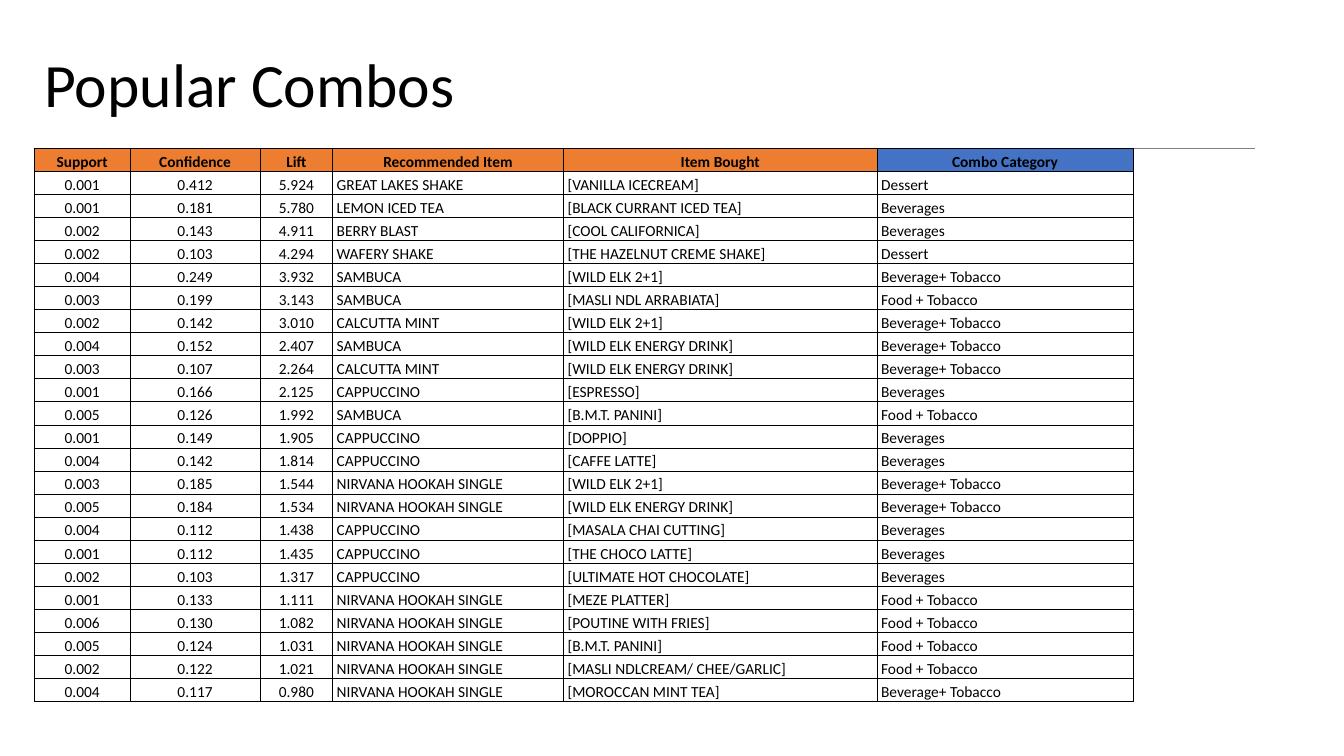
from pptx import Presentation
from pptx.dml.color import RGBColor
from pptx.enum.shapes import MSO_CONNECTOR
from pptx.enum.text import MSO_ANCHOR, PP_ALIGN
from pptx.oxml import parse_xml
from pptx.oxml.ns import nsdecls
from pptx.util import Inches, Pt
from lxml.etree import SubElement

BLACK = RGBColor(0x00, 0x00, 0x00)
GRAY = RGBColor(0x80, 0x80, 0x80)
ORANGE = RGBColor(0xED, 0x7D, 0x31)
BLUE = RGBColor(0x44, 0x72, 0xC4)

LEFT, TABLE_TOP = 0.34, 1.47
COLUMN_WIDTHS = [0.95, 1.29, 0.72, 2.29, 3.11, 2.54]
ROW_HEIGHT = 5.48 / 24
NUMBER_COLUMNS = 3

HEADERS = ["Support", "Confidence", "Lift", "Recommended Item", "Item Bought", "Combo Category"]
HEADER_FILLS = [ORANGE] * 5 + [BLUE]

DRINKS, DESSERT = "Beverages", "Dessert"
DRINK_TOBACCO, FOOD_TOBACCO = "Beverage+ Tobacco", "Food + Tobacco"
HOOKAH = "NIRVANA HOOKAH SINGLE"
COMBOS = [
    ("0.001", "0.412", "5.924", "GREAT LAKES SHAKE", "[VANILLA ICECREAM]", DESSERT),
    ("0.001", "0.181", "5.780", "LEMON ICED TEA", "[BLACK CURRANT ICED TEA]", DRINKS),
    ("0.002", "0.143", "4.911", "BERRY BLAST", "[COOL CALIFORNICA]", DRINKS),
    ("0.002", "0.103", "4.294", "WAFERY SHAKE", "[THE HAZELNUT CREME SHAKE]", DESSERT),
    ("0.004", "0.249", "3.932", "SAMBUCA", "[WILD ELK 2+1]", DRINK_TOBACCO),
    ("0.003", "0.199", "3.143", "SAMBUCA", "[MASLI NDL ARRABIATA]", FOOD_TOBACCO),
    ("0.002", "0.142", "3.010", "CALCUTTA MINT", "[WILD ELK 2+1]", DRINK_TOBACCO),
    ("0.004", "0.152", "2.407", "SAMBUCA", "[WILD ELK ENERGY DRINK]", DRINK_TOBACCO),
    ("0.003", "0.107", "2.264", "CALCUTTA MINT", "[WILD ELK ENERGY DRINK]", DRINK_TOBACCO),
    ("0.001", "0.166", "2.125", "CAPPUCCINO", "[ESPRESSO]", DRINKS),
    ("0.005", "0.126", "1.992", "SAMBUCA", "[B.M.T. PANINI]", FOOD_TOBACCO),
    ("0.001", "0.149", "1.905", "CAPPUCCINO", "[DOPPIO]", DRINKS),
    ("0.004", "0.142", "1.814", "CAPPUCCINO", "[CAFFE LATTE]", DRINKS),
    ("0.003", "0.185", "1.544", HOOKAH, "[WILD ELK 2+1]", DRINK_TOBACCO),
    ("0.005", "0.184", "1.534", HOOKAH, "[WILD ELK ENERGY DRINK]", DRINK_TOBACCO),
    ("0.004", "0.112", "1.438", "CAPPUCCINO", "[MASALA CHAI CUTTING]", DRINKS),
    ("0.001", "0.112", "1.435", "CAPPUCCINO", "[THE CHOCO LATTE]", DRINKS),
    ("0.002", "0.103", "1.317", "CAPPUCCINO", "[ULTIMATE HOT CHOCOLATE]", DRINKS),
    ("0.001", "0.133", "1.111", HOOKAH, "[MEZE PLATTER]", FOOD_TOBACCO),
    ("0.006", "0.130", "1.082", HOOKAH, "[POUTINE WITH FRIES]", FOOD_TOBACCO),
    ("0.005", "0.124", "1.031", HOOKAH, "[B.M.T. PANINI]", FOOD_TOBACCO),
    ("0.002", "0.122", "1.021", HOOKAH, "[MASLI NDLCREAM/ CHEE/GARLIC]", FOOD_TOBACCO),
    ("0.004", "0.117", "0.980", HOOKAH, "[MOROCCAN MINT TEA]", DRINK_TOBACCO),
]


def apply(target, values):
    for name, value in values.items():
        setattr(target, name, value)


class SlideBuilder:
    font_name = "Calibri"
    cell_format = {
        "margin_left": Inches(0.04), "margin_top": Inches(0.04),
        "margin_right": Inches(0.04), "margin_bottom": 0,
    }

    def __init__(self, slide):
        self.slide = slide

    def add_text(self, para, text, size, bold=False):
        span = para.add_run()
        span.text = text
        apply(span.font, {"name": self.font_name, "size": Pt(size), "bold": bold})
        span.font.color.rgb = BLACK

    def title(self, text, left, top, width, height):
        box = self.slide.shapes.title
        apply(box, {"left": Inches(left), "top": Inches(top),
                    "width": Inches(width), "height": Inches(height)})
        apply(box.text_frame, {"vertical_anchor": MSO_ANCHOR.MIDDLE, "word_wrap": True})
        para = box.text_frame.paragraphs[0]
        apply(para, {"alignment": PP_ALIGN.LEFT, "line_spacing": 0.9})
        self.add_text(para, text, 44)

    def rule(self, left, top, right):
        line = self.slide.shapes.add_connector(
            MSO_CONNECTOR.STRAIGHT, Inches(left), Inches(top), Inches(right), Inches(top))
        line.line.color.rgb = GRAY
        line.line.width = Pt(0.5)
        properties = line._element.spPr
        SubElement(properties, "{http://schemas.openxmlformats.org/drawingml/2006/main}effectLst")

    def borders(self, cell):
        properties = cell._tc.get_or_add_tcPr()
        for side in ("lnL", "lnR", "lnT", "lnB"):
            properties.append(parse_xml(
                f'<a:{side} {nsdecls("a")} w="{Pt(0.5)}"><a:solidFill>'
                f'<a:srgbClr val="{BLACK}"/></a:solidFill></a:{side}>'))

    def cell(self, cell, text, centered, fill=None):
        header = fill is not None
        anchor = MSO_ANCHOR.MIDDLE if header else MSO_ANCHOR.BOTTOM
        apply(cell, {**self.cell_format, "vertical_anchor": anchor})
        self.borders(cell)
        if header:
            cell.fill.solid()
            cell.fill.fore_color.rgb = fill
        else:
            cell.fill.background()
        para = cell.text_frame.paragraphs[0]
        para.alignment = PP_ALIGN.CENTER if centered else PP_ALIGN.LEFT
        self.add_text(para, text, 11, bold=header)

    def table(self, left, top, headers, fills, rows):
        table = self.slide.shapes.add_table(
            len(rows) + 1, len(headers), Inches(left), Inches(top),
            Inches(sum(COLUMN_WIDTHS)), Inches(ROW_HEIGHT * (len(rows) + 1))).table
        apply(table, {"first_row": True, "horz_banding": False})
        for column, width in zip(table.columns, COLUMN_WIDTHS):
            column.width = Inches(width)
        for row in table.rows:
            row.height = Inches(ROW_HEIGHT)
        for index, (text, fill) in enumerate(zip(headers, fills)):
            self.cell(table.cell(0, index), text, True, fill)
        for row_index, values in enumerate(rows, start=1):
            for index, text in enumerate(values):
                self.cell(table.cell(row_index, index), text, index < NUMBER_COLUMNS)


# Deck and page
deck = Presentation()
apply(deck, {"slide_width": Inches(13.33), "slide_height": Inches(7.5)})
page = SlideBuilder(deck.slides.add_slide(deck.slide_layouts[5]))

# Title and the rule below it
page.title("Popular Combos", LEFT, 0.28, 12.08, 1.18)
page.rule(LEFT, TABLE_TOP, 12.45)

# Combo table
page.table(LEFT, TABLE_TOP, HEADERS, HEADER_FILLS, COMBOS)

deck.save("out.pptx")
